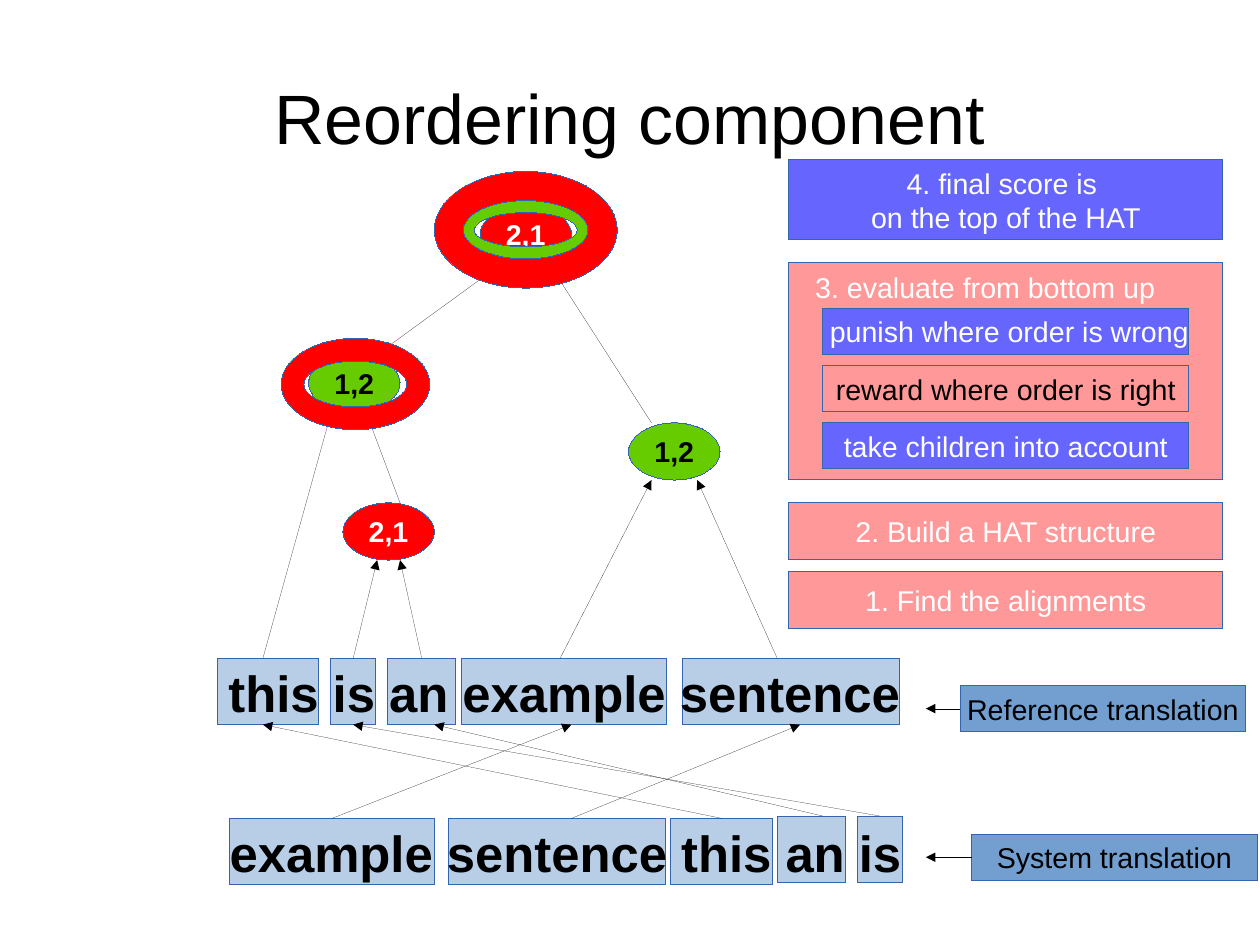
from lxml import etree
from pptx import Presentation
from pptx.dml.color import RGBColor
from pptx.enum.shapes import MSO_CONNECTOR, MSO_SHAPE
from pptx.enum.text import MSO_ANCHOR, PP_ALIGN
from pptx.oxml.ns import qn
from pptx.util import Inches, Pt

RECTANGLE, OVAL, DONUT = MSO_SHAPE.RECTANGLE, MSO_SHAPE.OVAL, MSO_SHAPE.DONUT
STRAIGHT = MSO_CONNECTOR.STRAIGHT
TOP, MIDDLE = MSO_ANCHOR.TOP, MSO_ANCHOR.MIDDLE
LEFT, CENTER = PP_ALIGN.LEFT, PP_ALIGN.CENTER
TOP_SIDE, LEFT_SIDE, BOTTOM_SIDE = 0, 1, 2

BLACK, WHITE, OUTLINE = "000000", "FFFFFF", "3465AF"
BLUE, VIOLET, CORAL = "729FCF", "6666FF", "FF3333"
RED, GREEN = "FF0000", "66CC00"
HAIRLINE = Pt(0.01)

REFERENCE_TOP, SYSTEM_TOP = 5.76, 7.16
REFERENCE_WORDS = {"this": (1.9, 0.89), "is": (2.89, 0.4), "an": (3.39, 0.6),
                   "example": (4.04, 1.79), "sentence": (5.97, 1.9)}
SYSTEM_WORDS = {"example": (2.01, 1.79), "sentence": (3.92, 1.9),
                "this": (5.87, 0.89), "an": (6.8, 0.6), "is": (7.5, 0.4)}


def color(value):
    return RGBColor.from_string(value)


def write(box, text, size=18, ink=BLACK, bold=False, align=CENTER,
          anchor=MIDDLE, insets=(0.1, 0.05, 0.1, 0.05), wrap=False):
    frame = box.text_frame
    frame.word_wrap = wrap
    frame.vertical_anchor = anchor
    (frame.margin_left, frame.margin_top,
     frame.margin_right, frame.margin_bottom) = map(Inches, insets)
    for index, line in enumerate(text.split("\n")):
        para = frame.paragraphs[0] if index == 0 else frame.add_paragraph()
        para.alignment = align
        span = para.add_run()
        span.text = line
        span.font.name = "Arial"
        span.font.size = Pt(size)
        span.font.bold = bold
        span.font.color.rgb = color(ink)


def add_text(page, place, text, **style):
    box = page.shapes.add_textbox(*map(Inches, place))
    write(box, text, **style)


def add_figure(page, kind, place, fill=None, opacity=100, text=None, **style):
    figure = page.shapes.add_shape(kind, *map(Inches, place))
    figure.shadow.inherit = False
    figure.line.color.rgb = color(OUTLINE)
    figure.line.width = HAIRLINE
    if fill:
        figure.fill.solid()
        figure.fill.fore_color.rgb = color(fill)
    else:
        figure.fill.background()
    if opacity < 100:
        swatch = figure.fill._xPr.find(".//" + qn("a:srgbClr"))
        etree.SubElement(swatch, qn("a:alpha"), val=str(opacity * 1000))
    if text:
        write(figure, text, **style)
    return figure


def add_arrow(page, start, end, start_join=None, end_join=None):
    arrow = page.shapes.add_connector(STRAIGHT, *map(Inches, start + end))
    if start_join:
        arrow.begin_connect(*start_join)
    if end_join:
        arrow.end_connect(*end_join)
    arrow.line.color.rgb = color(BLACK)
    arrow.line.width = HAIRLINE
    etree.SubElement(arrow.line._get_or_add_ln(), qn("a:tailEnd"), type="triangle")
    etree.SubElement(arrow._element.spPr, qn("a:effectLst"))


def add_words(page, words, top, raised=()):
    return {word: add_figure(page, RECTANGLE,
                             (left, top - 0.02 * (word in raised), width, 0.58),
                             BLUE, opacity=50)
            for word, (left, width) in words.items()}


def add_label(page, left, top, text):
    label = add_figure(page, RECTANGLE, (left, top, 2.5, 0.4), BLUE, text=text)
    add_arrow(page, (left, top + 0.2), (8.1, top + 0.2), (label, LEFT_SIDE))


def add_alignments(page, system, reference):
    bottom = REFERENCE_TOP + 0.58
    add_arrow(page, (2.9, SYSTEM_TOP), (5, bottom), (system["example"], TOP_SIDE))
    add_arrow(page, (5, SYSTEM_TOP), (7, bottom))
    add_arrow(page, (6.3, SYSTEM_TOP), (2.3, bottom), (system["this"], TOP_SIDE))
    add_arrow(page, (7.2, SYSTEM_TOP - 0.02), (3.8, bottom))
    add_arrow(page, (7.7, SYSTEM_TOP - 0.02), (3.1, bottom),
              (system["is"], TOP_SIDE), (reference["is"], BOTTOM_SIDE))


def add_tree(page, reference):
    for left, top, text, fill, ink in (
            (3, 4.4, "2,1", RED, WHITE), (2.7, 3.1, "1,2", GREEN, BLACK),
            (5.5, 3.7, "1,2", GREEN, BLACK), (4.2, 1.8, "2,1", RED, WHITE)):
        add_figure(page, OVAL, (left, top, 0.8, 0.5), fill,
                   text=text, ink=ink, bold=True)
    for word, left, end in (("is", 3.1, (3.3, 4.9)), ("an", 3.7, (3.5, 4.9))):
        add_arrow(page, (left, REFERENCE_TOP), end, (reference[word], TOP_SIDE))
    for start, end in (((2.3, REFERENCE_TOP), (2.9, 3.6)),
                       ((4.9, REFERENCE_TOP), (5.7, 4.2)),
                       ((6.8, REFERENCE_TOP), (6.1, 4.2)), ((3.5, 4.4), (3.2, 3.6)),
                       ((5.7, 3.7), (4.8, 2.3)), ((3.3, 3.1), (4.4, 2.3))):
        add_arrow(page, start, end)
    for place, fill in (((2.46, 2.96, 1.3, 0.8), RED), ((4, 1.71, 1.2, 0.6), GREEN),
                        ((3.8, 1.5, 1.6, 1.02), RED)):
        ring = add_figure(page, DONUT, place, fill)
        ring.adjustments[0] = 0.25


def add_steps(page):
    def step(top, height, text, fill=CORAL, opacity=50, **style):
        add_figure(page, RECTANGLE, (6.9, top, 3.8, height), fill, opacity,
                   text, ink=WHITE, **style)

    def rule(top, text, fill=VIOLET, ink=WHITE, **style):
        add_figure(page, RECTANGLE, (7.2, top, 3.2, 0.4), fill,
                   text=text, ink=ink, **style)

    step(5, 0.5, "1. Find the alignments")
    step(4.4, 0.5, "2. Build a HAT structure")
    step(2.3, 1.9, "3. evaluate from bottom up", anchor=TOP,
         insets=(0.1, 0.06, 0.46, 0.05), wrap=True)
    rule(2.7, "punish where order is wrong", insets=(0.16, 0.05, 0.1, 0.05))
    rule(3.2, "reward where order is right", fill=None, ink=BLACK)
    rule(3.7, "take children into account")
    step(1.4, 0.7, "4. final score is \non the top of the HAT", VIOLET, 100)


def main():
    deck = Presentation()
    deck.slide_width, deck.slide_height = Inches(28 / 2.54), Inches(21 / 2.54)
    page = deck.slides.add_slide(deck.slide_layouts[6])

    system = add_words(page, SYSTEM_WORDS, SYSTEM_TOP, raised=("an", "is"))
    reference = add_words(page, REFERENCE_WORDS, REFERENCE_TOP)
    add_text(page, (0.55, 0.33, 9.92, 1.38), "Reordering component",
             size=44, insets=(0, 0, 0, 0), wrap=True)
    for left, top, sentence in ((1.9, 5.74, "this is an example sentence"),
                                (1.91, 7.14, "example sentence this an is")):
        add_text(page, (left, top, 6.09, 0.6), sentence,
                 size=32, bold=True, align=LEFT, anchor=TOP)
    add_label(page, 8.5, 7.3, "System translation")
    add_label(page, 8.4, 6, "Reference translation")
    add_alignments(page, system, reference)
    add_tree(page, reference)
    add_steps(page)
    deck.save("out.pptx")


if __name__ == "__main__":
    main()
